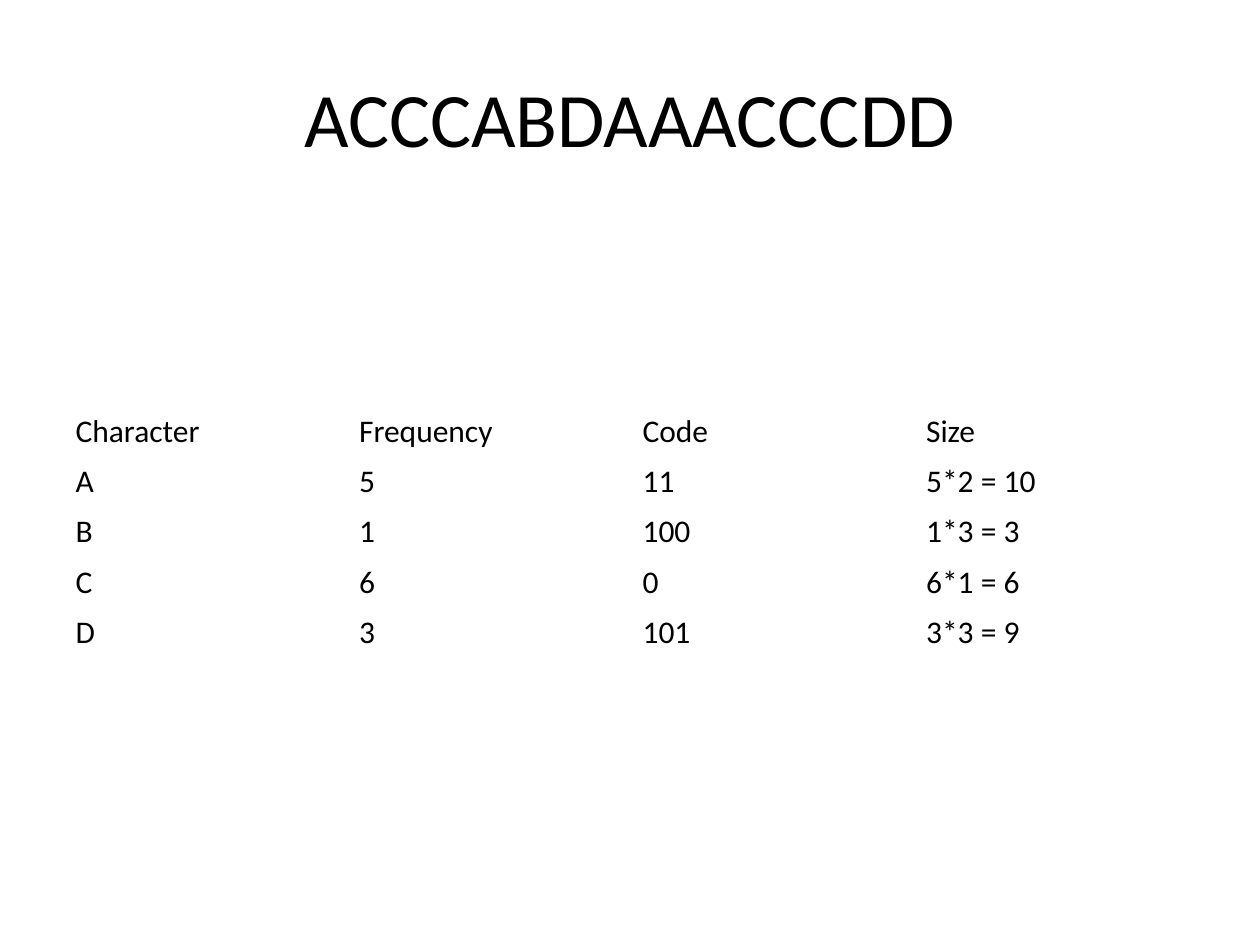
from pptx import Presentation
from pptx.dml.color import RGBColor
from pptx.enum import text
from pptx.util import Inches, Pt

# Content
TITLE = "ACCCABDAAACCCDD"
ROWS = [
    ("Character", "Frequency", "Code", "Size"),
    ("A", "5", "11", "5*2 = 10"),
    ("B", "1", "100", "1*3 = 3"),
    ("C", "6", "0", "6*1 = 6"),
    ("D", "3", "101", "3*3 = 9"),
]

# Format and layout
BLACK = RGBColor(0x00, 0x00, 0x00)
FONT = "Calibri"
WIDTH, HEIGHT = Inches(10), Inches(7.5)
MARGIN = int(WIDTH * 0.05)
CONTENT_W = WIDTH - 2 * MARGIN
ROW_H = Inches(0.4)


def write(tf, content, size=18, align=text.PP_ALIGN.LEFT):
    tf.word_wrap = True
    p = tf.paragraphs[0]
    p.alignment = align
    r = p.add_run()
    r.text = content
    r.font.name = FONT
    r.font.size = Pt(size)
    r.font.bold = False
    r.font.color.rgb = BLACK


prs = Presentation()
prs.slide_width, prs.slide_height = WIDTH, HEIGHT
s = prs.slides.add_slide(prs.slide_layouts[6])

# Title: the message to encode
sp = s.shapes.add_textbox(MARGIN, int(HEIGHT * 0.04), CONTENT_W, Inches(1.25))
sp.text_frame.vertical_anchor = text.MSO_ANCHOR.MIDDLE
write(sp.text_frame, TITLE, size=44, align=text.PP_ALIGN.CENTER)

# Code table: equal columns and rows, no fill
table = s.shapes.add_table(len(ROWS), len(ROWS[0]), MARGIN, Inches(3.22),
                           CONTENT_W, ROW_H * len(ROWS)).table
table.first_row = table.horz_banding = False
for i, row in enumerate(ROWS):
    for j, value in enumerate(row):
        cell = table.cell(i, j)
        cell.fill.background()
        cell.vertical_anchor = text.MSO_ANCHOR.MIDDLE
        write(cell.text_frame, value)

prs.save("out.pptx")
